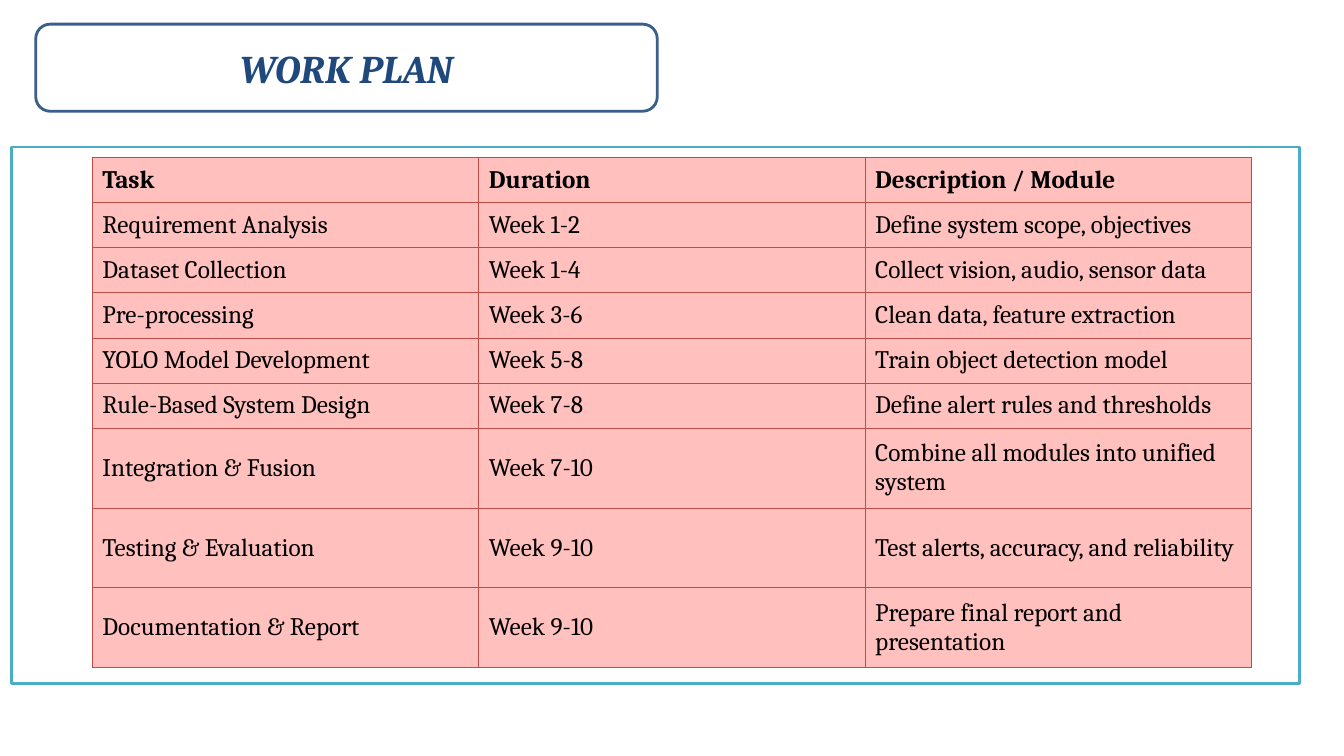
from lxml.etree import SubElement
from pptx import Presentation
from pptx.dml.color import RGBColor
from pptx.enum.shapes import MSO_SHAPE
from pptx.enum.text import MSO_ANCHOR, PP_ALIGN
from pptx.oxml.ns import qn
from pptx.util import Pt

PX = 9525  # 96 px to the inch
FONT = "Cambria"
WHITE = RGBColor(0xFF, 0xFF, 0xFF)
BLACK = RGBColor(0x00, 0x00, 0x00)
NAVY = RGBColor(0x1F, 0x49, 0x7D)
BLUE = RGBColor(0x3A, 0x5F, 0x8C)
TEAL = RGBColor(0x4B, 0xAC, 0xC6)
PINK = RGBColor(0xFF, 0xC0, 0xBE)
RED = RGBColor(0xBF, 0x4C, 0x48)

COLUMN_WIDTH = 368
SHORT_ROW, TALL_ROW = 43, 76
FIRST_TALL_ROW = 6
WORK_PLAN = [
    ("Task", "Duration", "Description / Module"),
    ("Requirement Analysis", "Week 1-2", "Define system scope, objectives"),
    ("Dataset Collection", "Week 1-4", "Collect vision, audio, sensor data"),
    ("Pre-processing", "Week 3-6", "Clean data, feature extraction"),
    ("YOLO Model Development", "Week 5-8", "Train object detection model"),
    ("Rule-Based System Design", "Week 7-8", "Define alert rules and thresholds"),
    ("Integration & Fusion", "Week 7-10", "Combine all modules into unified system"),
    ("Testing & Evaluation", "Week 9-10", "Test alerts, accuracy, and reliability"),
    ("Documentation & Report", "Week 9-10", "Prepare final report and presentation"),
]


def add_run(paragraph, text, size, color, bold, italic=False):
    run = paragraph.add_run()
    run.text = text
    run.font.name = FONT
    run.font.size = Pt(size)
    run.font.color.rgb = color
    run.font.bold = bold
    run.font.italic = italic


presentation = Presentation()
presentation.slide_width = 1280 * PX
presentation.slide_height = 720 * PX
slide = presentation.slides.add_slide(presentation.slide_layouts[5])

# Table frame and title box
title_area = [length * PX for length in (34, 23, 592, 83)]
frame_area = [length * PX for length in (11, 140, 1227, 511)]
for kind, area, line_color in (
    (MSO_SHAPE.RECTANGLE, frame_area, TEAL),
    (MSO_SHAPE.ROUNDED_RECTANGLE, title_area, BLUE),
):
    shape = slide.shapes.add_shape(kind, *area)
    shape.shadow.inherit = False
    shape.fill.solid()
    shape.fill.fore_color.rgb = WHITE
    shape.line.color.rgb = line_color
    shape.line.width = Pt(2)

# Title, brought in front of its box
title = slide.shapes.title
title.left, title.top, title.width, title.height = title_area
title.element.getparent().append(title.element)
title.text_frame.vertical_anchor = MSO_ANCHOR.MIDDLE
title_paragraph = title.text_frame.paragraphs[0]
title_paragraph.alignment = PP_ALIGN.CENTER
add_run(title_paragraph, "WORK PLAN", 28, NAVY, bold=True, italic=True)

# Work plan table
row_heights = [
    SHORT_ROW if index < FIRST_TALL_ROW else TALL_ROW for index in range(len(WORK_PLAN))
]
column_count = len(WORK_PLAN[0])
table = slide.shapes.add_table(
    len(WORK_PLAN), column_count, 88 * PX, 150 * PX,
    column_count * COLUMN_WIDTH * PX, sum(row_heights) * PX,
).table
for column in table.columns:
    column.width = COLUMN_WIDTH * PX

for row_index, texts in enumerate(WORK_PLAN):
    table.rows[row_index].height = row_heights[row_index] * PX
    for column_index, text in enumerate(texts):
        cell = table.cell(row_index, column_index)
        cell.vertical_anchor = MSO_ANCHOR.MIDDLE
        properties = cell._tc.get_or_add_tcPr()
        for side in ("a:lnL", "a:lnR", "a:lnT", "a:lnB"):
            border = SubElement(properties, qn(side), w=str(Pt(0.75)))
            border_fill = SubElement(border, qn("a:solidFill"))
            SubElement(border_fill, qn("a:srgbClr"), val=str(RED))
        cell.fill.solid()
        cell.fill.fore_color.rgb = PINK
        add_run(cell.text_frame.paragraphs[0], text, 18, BLACK, bold=row_index == 0)

presentation.save("out.pptx")
